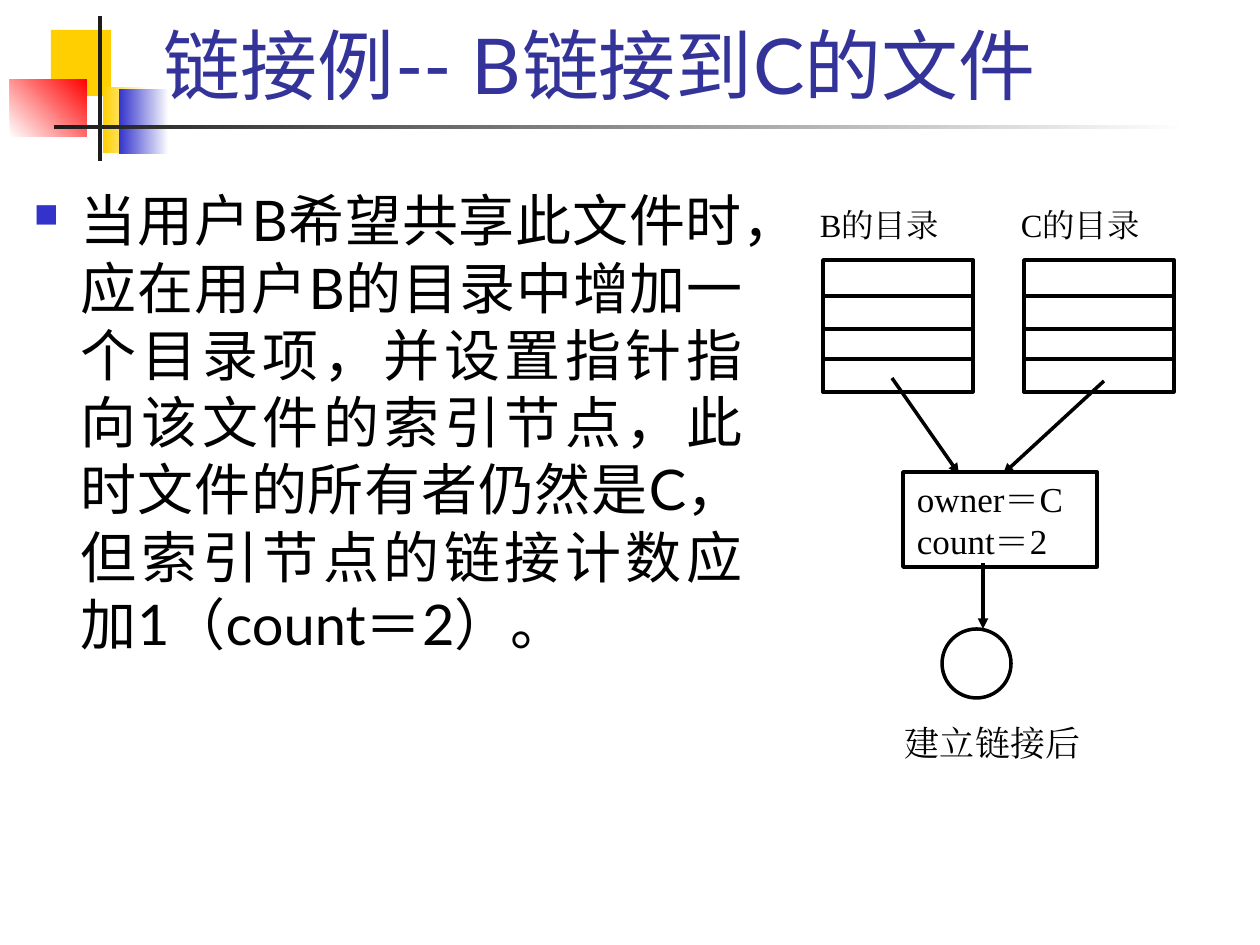
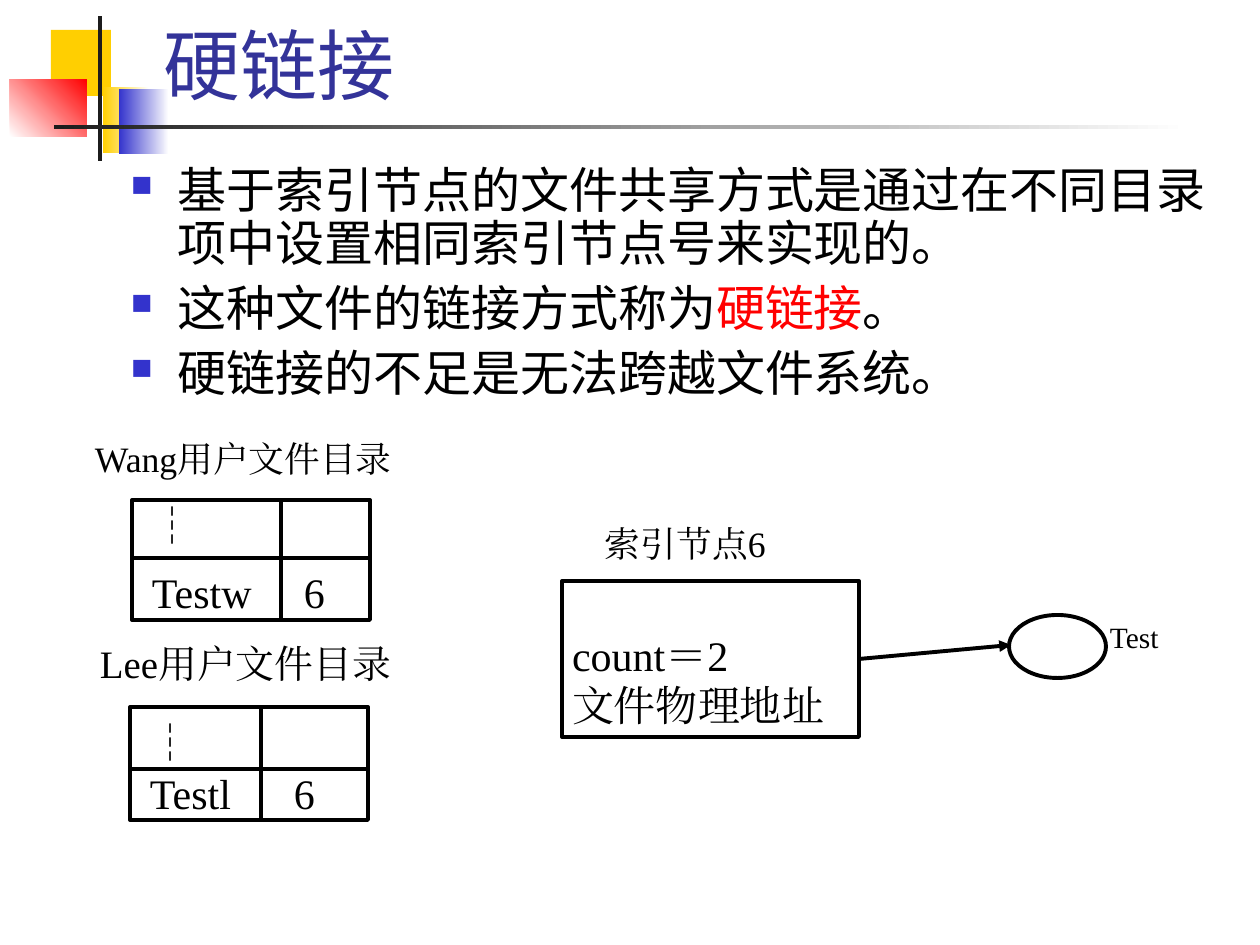
from lxml.etree import SubElement
from pptx import Presentation
from pptx.dml.color import RGBColor
from pptx.enum.shapes import MSO_CONNECTOR as Line, MSO_SHAPE as Shape
from pptx.enum.text import MSO_ANCHOR as Anchor, PP_ALIGN as Align
from pptx.oxml.ns import qn
from pptx.util import Pt

SCALE = 914400 / 126
BLACK, WHITE, RED = "000000", "FFFFFF", "FF0000"
YELLOW, BLUE, DARK, TITLE_BLUE = "FFCF01", "3333CC", "1C1C1C", "333399"
SANS, SERIF, CJK = "Lato", "Times New Roman", "Noto Sans CJK SC"

BAND = [
    ((51, 30, 60, 66), YELLOW, None, 0),
    ((103, 87, 46, 66), YELLOW, WHITE, 0),
    ((119, 89, 50, 65), BLUE, WHITE, 0),
    ((10, 79, 77, 58), WHITE, RED, 45),
    ((98, 16, 4, 145), DARK, None, 0),
    ((54, 125, 1134, 4), DARK, WHITE, 0),
]
TITLE_BOX = (151, 21, 1074, 95)
BULLET_INDENT = 47

LINK = {
    "title": "链接例-- B链接到C的文件",
    "body_box": (21, 180, 735, 567),
    "body": [[("当用户B希望共享此文件时，应在用户B的目录中增加一个目录项，并设置指针指向该文件的"
               "索引节点，此时文件的所有者仍然是C，但索引节点的链接计数应加1（count＝2）。", BLACK)]],
    "body_format": {"size": 32, "align": Align.JUSTIFY},
    "directories": [("B的目录", 823), ("C的目录", 1024)],
    "inode": ["owner＝C", "count＝2"],
    "arrows": [((892, 378), (959, 474)), ((1104, 381), (1003, 474)), ((983, 563), (983, 629))],
    "caption": "建立链接后",
}
DIRECTORY_TOP, DIRECTORY_W, DIRECTORY_H = 260, 150, 132
DIRECTORY_RULES = [(0, 36), (2, 69), (0, 99)]

HARD_LINK = {
    "title": "硬链接",
    "body_box": (118, 160, 1120, 257),
    "body": [
        [("基于索引节点的文件共享方式是通过在不同目录项中设置相同索引节点号来实现的。", BLACK)],
        [("这种文件的链接方式称为", BLACK), ("硬链接", RED), ("。", BLACK)],
        [("硬链接的不足是无法跨越文件系统。", BLACK)],
    ],
    "body_format": {"size": 28, "spacing": 0.9, "before": 7},
    "directories": [
        {"label": "Wang用户文件目录", "label_box": (95, 442, 368, 42), "size": 20.4,
         "box": (132, 500, 238, 120), "top": 0, "gap": 9, "column": 149, "row": 58,
         "entry": "Testw\t6", "tab": 152},
        {"label": "Lee用户文件目录", "label_box": (100, 645, 341, 50), "size": 22.2,
         "box": (130, 707, 238, 113), "top": 10, "gap": 0, "column": 131, "row": 62,
         "entry": "Testl\t6", "tab": 144},
    ],
    "inode_label": "索引节点6",
    "inode": ["count＝2", "文件物理地址"],
    "file": "Test",
}


def px(n):
    return round(n * SCALE)


def rgb(value):
    return RGBColor.from_string(value)


def put(obj, values):
    for name, value in values.items():
        setattr(obj, name, value)


def add_bullet(p):
    pPr = p._p.get_or_add_pPr()
    pPr.set("marL", str(px(BULLET_INDENT)))
    pPr.set("indent", str(-px(BULLET_INDENT)))
    SubElement(SubElement(pPr, qn("a:buClr")), qn("a:srgbClr"), val=BLUE)
    SubElement(pPr, qn("a:buSzPct"), val="60000")
    SubElement(pPr, qn("a:buChar"), char="■")


def add_tab(p, position):
    tabs = SubElement(p._p.get_or_add_pPr(), qn("a:tabLst"))
    SubElement(tabs, qn("a:tab"), pos=str(px(position)), algn="l")


def add_run(p, text, size, font, color):
    r = p.add_run()
    r.text = text
    put(r.font, {"size": Pt(size), "name": font})
    r.font.color.rgb = rgb(color)
    SubElement(r._r.get_or_add_rPr(), qn("a:ea"), typeface=font)


def write(sp, paragraphs, size, font=SERIF, color=BLACK, align=Align.JUSTIFY, spacing=None,
          before=0, insets=(0, 0, 0, 0), anchor=Anchor.TOP, bullet=False, tab=None):
    tf = sp.text_frame
    left, top, right, bottom = map(px, insets)
    put(tf, {"word_wrap": True, "vertical_anchor": anchor, "margin_left": left,
             "margin_top": top, "margin_right": right, "margin_bottom": bottom})
    for i, runs in enumerate(paragraphs):
        p = tf.paragraphs[0] if i == 0 else tf.add_paragraph()
        put(p, {"alignment": align, "line_spacing": spacing})
        if i and before:
            p.space_before = Pt(before)
        if bullet:
            add_bullet(p)
        if tab:
            add_tab(p, tab)
        for run in [runs] if isinstance(runs, str) else runs:
            text, *own = (run,) if isinstance(run, str) else run
            run_color, run_font = (own + [color, font][len(own):])[:2]
            add_run(p, text, size, run_font, run_color)


def add_text(s, box, paragraphs, size, **fmt):
    write(s.shapes.add_textbox(*map(px, box)), paragraphs, size, **fmt)


def add_box(s, box, width, kind=Shape.RECTANGLE):
    sp = s.shapes.add_shape(kind, *map(px, box))
    sp.shadow.inherit = False
    sp.fill.solid()
    sp.fill.fore_color.rgb = rgb(WHITE)
    sp.line.color.rgb = rgb(BLACK)
    sp.line.width = Pt(width)
    return sp


def add_line(s, start, end, width, arrow=False):
    c = s.shapes.add_connector(Line.STRAIGHT, *map(px, start + end))
    c.line.color.rgb = rgb(BLACK)
    c.line.width = Pt(width)
    if arrow:
        SubElement(c.line._get_or_add_ln(), qn("a:tailEnd"), type="triangle")
    SubElement(c._element.spPr, qn("a:effectLst"))
    return c


def add_band(s):
    for box, start, end, angle in BAND:
        sp = s.shapes.add_shape(Shape.RECTANGLE, *map(px, box))
        sp.shadow.inherit = False
        sp.line.fill.background()
        if end is None:
            sp.fill.solid()
            sp.fill.fore_color.rgb = rgb(start)
            continue
        sp.fill.gradient()
        sp.fill.gradient_angle = angle
        for stop, position, color in zip(sp.fill.gradient_stops, (0, 1), (start, end)):
            stop.position = position
            stop.color.rgb = rgb(color)


def new_slide(prs, content):
    s = prs.slides.add_slide(prs.slide_layouts[6])
    add_band(s)
    frame = {"font": SANS, "insets": (13, 6, 13, 6)}
    add_text(s, TITLE_BOX, [content["title"]], 44, color=TITLE_BLUE, align=Align.LEFT,
             anchor=Anchor.BOTTOM, **frame)
    body_format = {"align": Align.LEFT, **content["body_format"]}
    add_text(s, content["body_box"], content["body"], bullet=True, **frame, **body_format)
    return s


def build_link(prs):
    s = new_slide(prs, LINK)
    for label, x in LINK["directories"]:
        add_box(s, (x, DIRECTORY_TOP, DIRECTORY_W, DIRECTORY_H), 2)
        add_text(s, (x - 3, 210, DIRECTORY_W, 40), [label], 18.5, spacing=0.9)
        for shift, dy in DIRECTORY_RULES:
            left, y = x + shift, DIRECTORY_TOP + dy
            add_line(s, (left, y), (left + DIRECTORY_W, y), 2)
    inode = add_box(s, (903, 472, 194, 95), 2)
    write(inode, LINK["inode"], 20, insets=(14, 5, 5, 0))
    add_box(s, (942, 629, 69, 69), 2, Shape.OVAL)
    for start, end in LINK["arrows"]:
        add_line(s, start, end, 2, arrow=True)
    add_text(s, (905, 721, 204, 45), [LINK["caption"]], 20)


def build_hard_link(prs):
    s = new_slide(prs, HARD_LINK)
    for d in HARD_LINK["directories"]:
        add_text(s, d["label_box"], [d["label"]], d["size"], spacing=0.9)
        x, y, w, h = d["box"]
        write(add_box(s, d["box"], 2.25), [[("┆", BLACK, CJK)], d["entry"]], 24,
              before=d["gap"], insets=(20, d["top"], 10, 0), tab=d["tab"], align=Align.LEFT)
        row, column = y + d["row"], x + d["column"]
        add_line(s, (x, row), (x + w, row), 2.25)
        add_line(s, (column, y), (column, y + h), 2.25)
    inode = add_box(s, (562, 581, 297, 156), 2.25)
    write(inode, HARD_LINK["inode"], 24, insets=(10, 48, 10, 1))
    add_text(s, (605, 527, 214, 45), [HARD_LINK["inode_label"]], 20.4, spacing=0.9)
    add_box(s, (1009, 615, 97, 63), 2.25, Shape.OVAL)
    pointer = add_line(s, (859, 659), (1011, 645), 2.25, arrow=True)
    pointer.begin_connect(inode, 3)
    add_text(s, (1110, 626, 97, 35), [HARD_LINK["file"]], 16.8, spacing=0.8)


def main():
    prs = Presentation()
    put(prs, {"slide_width": px(1260), "slide_height": px(945)})
    build_link(prs)
    build_hard_link(prs)
    prs.save("out.pptx")


if __name__ == "__main__":
    main()
